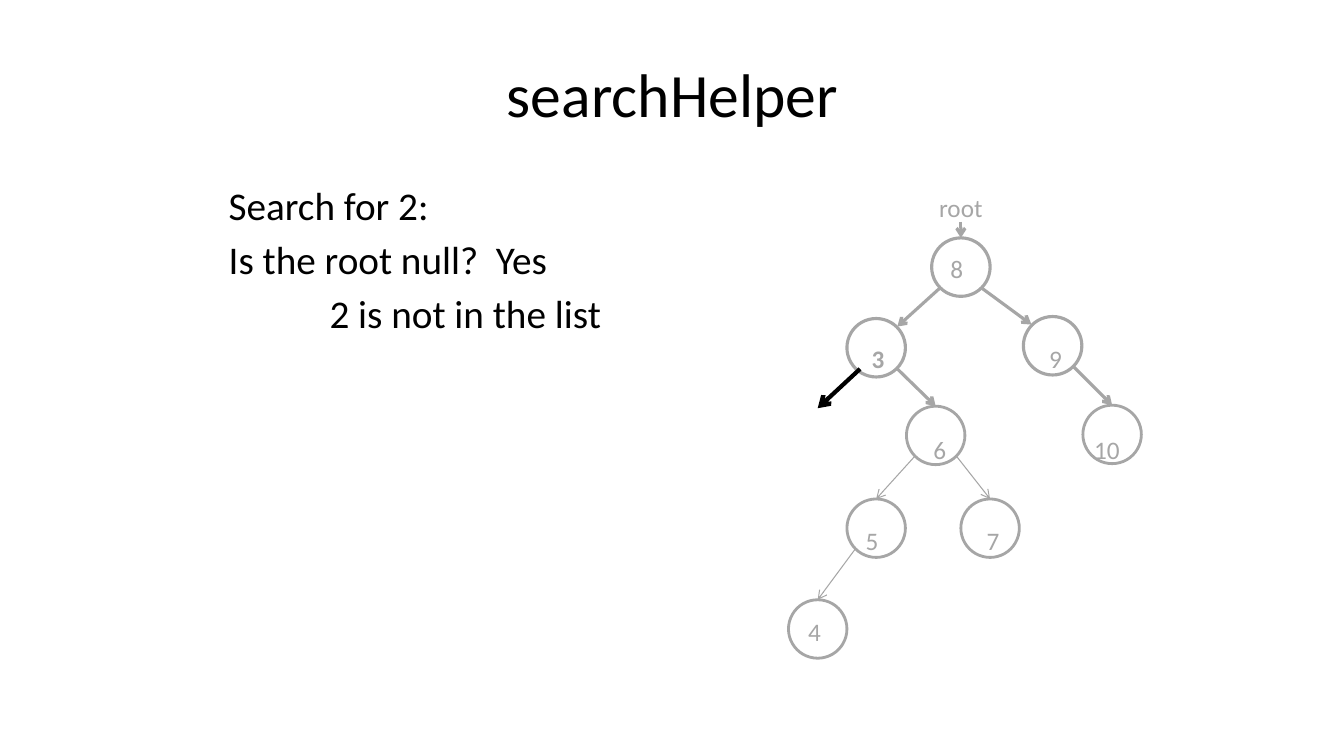
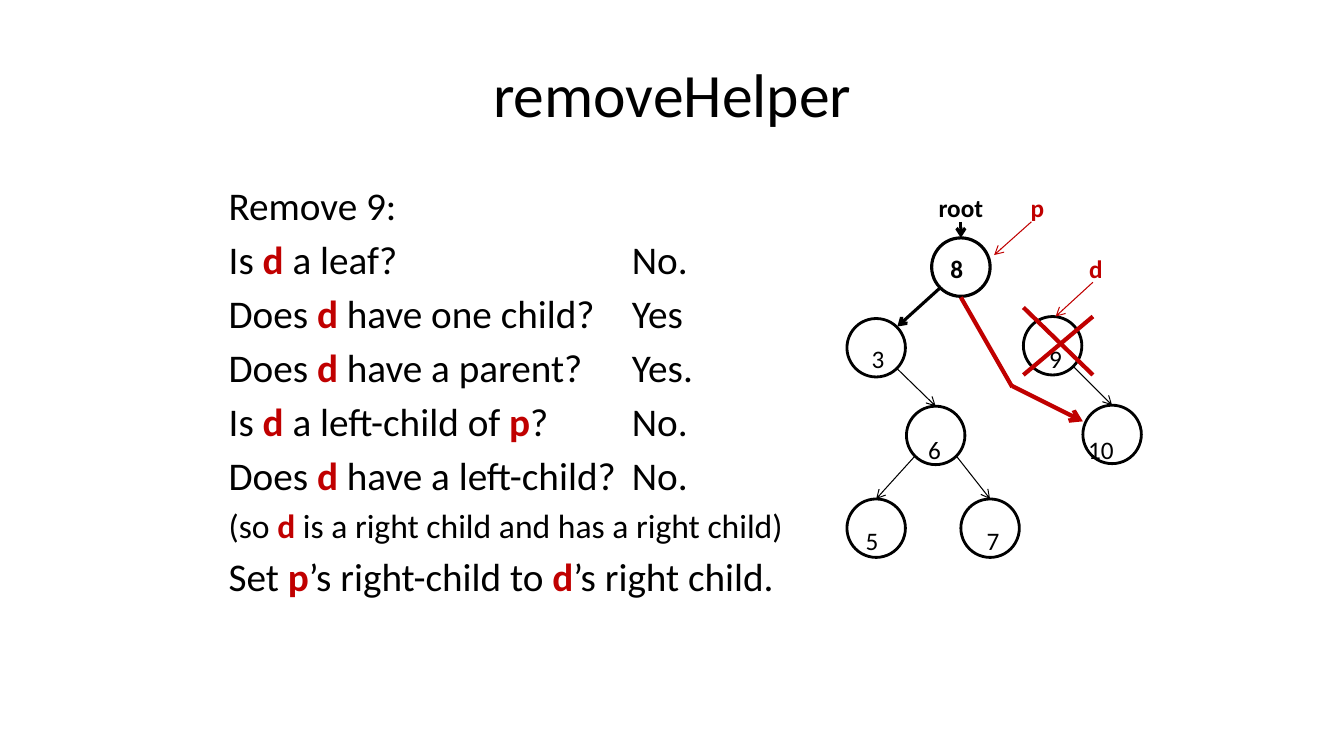
from lxml import etree
from pptx import Presentation
from pptx import util as u
from pptx.dml.color import RGBColor
from pptx.enum import shapes, text
from pptx.oxml.ns import qn

COLORS = {"ink": "000000", "faded": "A6A6A6", "accent": "C00000"}
FONT = "Calibri"
WIDTH, HEIGHT = 13.33, 7.5
DIAMETER = 0.58
RADIUS, DIAGONAL = DIAMETER / 2, 0.21
LABEL_TOP, LABEL_ROW = 2.06, 0.3
LABEL_SIZE = (0.8, 0.4)
HEAVY, MEDIUM, THIN, BOLD_LINE = 2.25, 2, 0.75, 3

NODES = {
    8: (9.53, 2.65), 3: (8.69, 3.45), 9: (10.44, 3.43), 6: (9.28, 4.32),
    10: (11.03, 4.31), 5: (8.69, 5.24), 7: (9.82, 5.24), 4: (8.11, 6.24),
}
LABELS = {
    "root": (9.53, 0), 8: (9.49, 2), 3: (8.71, 5), 9: (10.47, 5), 6: (9.32, 8),
    10: (10.98, 8), 5: (8.65, 11), 7: (9.85, 11), 4: (8.08, 14),
}
ROOT_ARROW = ((9.53, 2.2), (9.53, 2.36))

SLIDES = [
    {
        "title": "searchHelper",
        "tab": 1,
        "body": [("Search for 2:", 28), ("Is the root null?  Yes", 28),
                 ("\t2 is not in the list", 28)],
        "tree": "faded",
        "nodes": [8, 3, 9, 6, 5, 7, 10, 4],
        "heavy_nodes": [8, 3, 9],
        "edges": [(8, 3), (8, 9), (3, 6), (9, 10), (6, 7), (6, 5), (5, 4)],
        "heavy_edges": [(8, 3), (8, 9), (3, 6), (9, 10)],
        "bold": [3],
        "shifts": {},
        "pointers": [],
        "marks": [((8.53, 3.66), (8.11, 4.05), "ink", BOLD_LINE, True)],
    },
    {
        "title": "removeHelper",
        "tab": 4,
        "body": [
            ("Remove 9:", 28),
            ("Is *d* a leaf?\tNo.", 28),
            ("Does *d* have one child?\tYes", 28),
            ("Does *d* have a parent?\tYes.", 28),
            ("Is *d* a left-child of *p*?\tNo.", 28),
            ("Does *d* have a left-child?\tNo.", 28),
            ("(so *d* is a right child and has a right child)", 24),
            ("Set *p*’s right-child to *d*’s right child.", 28),
        ],
        "tree": "ink",
        "nodes": [8, 3, 9, 6, 5, 7, 10],
        "heavy_nodes": [8],
        "edges": [(8, 3), (3, 6), (9, 10), (6, 7), (6, 5)],
        "heavy_edges": [(8, 3)],
        "bold": ["root", 8],
        "shifts": {6: -0.05, 10: -0.06},
        "pointers": [("p", 10.29, 0), ("d", 10.87, 2)],
        "marks": [
            ((10.84, 2.8), (10.47, 3.14), "accent", THIN, True),
            ((10.23, 2.2), (9.86, 2.53), "accent", THIN, True),
            ((10.15, 3.05), (10.84, 3.72), "accent", BOLD_LINE, False),
            ((10.84, 3.14), (10.15, 3.72), "accent", BOLD_LINE, False),
            ((9.53, 2.95), (10.04, 3.84), "accent", BOLD_LINE, False),
            ((10.04, 3.83), (10.74, 4.18), "accent", BOLD_LINE, True),
        ],
    },
]


def rgb(color):
    return RGBColor.from_string(COLORS[color])


def inches(*lengths):
    return [u.Inches(length) for length in lengths]


def style(font, size, color, bold=False):
    font.name, font.size, font.bold = FONT, u.Pt(size), bold
    font.color.rgb = rgb(color)


def add_frame(slide, left, top, width, height, wrap=True):
    frame = slide.shapes.add_textbox(*inches(left, top, width, height)).text_frame
    frame.word_wrap = wrap
    return frame


def add_centered(slide, words, box, size, color, bold=False, wrap=True):
    frame = add_frame(slide, *box, wrap=wrap)
    frame.vertical_anchor = text.MSO_ANCHOR.MIDDLE
    paragraph = frame.paragraphs[0]
    paragraph.alignment = text.PP_ALIGN.CENTER
    paragraph.add_run().text = words
    style(paragraph.font, size, color, bold)


def add_body(slide, lines, tab):
    frame = add_frame(slide, 2.17, 1.75, 5.94, 5)
    for index, (line, size) in enumerate(lines):
        paragraph = frame.add_paragraph() if index else frame.paragraphs[0]
        if index:
            paragraph.space_before = u.Pt(round(size * 0.18, 1))
        if "\t" in line:
            stops = etree.SubElement(paragraph._p.get_or_add_pPr(), qn("a:tabLst"))
            etree.SubElement(stops, qn("a:tab"), pos=str(u.Inches(tab)), algn="l")
        style(paragraph.font, size, "ink")
        for part, words in enumerate(line.split("*")):
            run = paragraph.add_run()
            run.text = words
            if part % 2:
                run.font.bold = True
                run.font.color.rgb = rgb("accent")


def add_line(slide, start, end, color, width, arrow=True):
    line = slide.shapes.add_connector(shapes.MSO_CONNECTOR.STRAIGHT, *inches(*start, *end))
    line.line.color.rgb = rgb(color)
    line.line.width = u.Pt(width)
    if arrow:
        etree.SubElement(line.line._get_or_add_ln(), qn("a:tailEnd"), type="arrow")
    etree.SubElement(line._element.spPr, qn("a:effectLst"))


def add_node(slide, key, color, width):
    x, y = NODES[key]
    circle = slide.shapes.add_shape(
        shapes.MSO_SHAPE.OVAL, *inches(x - RADIUS, y - RADIUS, DIAMETER, DIAMETER))
    circle.shadow.inherit = False
    circle.fill.background()
    circle.line.color.rgb = rgb(color)
    circle.line.width = u.Pt(width)


def add_edge(slide, parent, child, color, width):
    (px, py), (cx, cy) = NODES[parent], NODES[child]
    side = DIAGONAL if cx > px else -DIAGONAL
    end = (cx - side, cy - DIAGONAL) if parent == 8 else (cx, cy - RADIUS)
    add_line(slide, (px + side, py + DIAGONAL), end, color, width)


def add_label(slide, words, x, row, color, bold):
    width, height = LABEL_SIZE
    middle = LABEL_TOP + row * LABEL_ROW
    box = (x - width / 2, middle - height / 2, width, height)
    add_centered(slide, str(words), box, 18, color, bold)


def build_slide(deck, content):
    slide = deck.slides.add_slide(deck.slide_layouts[6])
    tree = content["tree"]
    add_centered(slide, content["title"], (0.67, 0.3, 12, 1.25), 44, "ink")
    add_body(slide, content["body"], content["tab"])
    for key in content["nodes"]:
        add_node(slide, key, tree, HEAVY if key in content["heavy_nodes"] else MEDIUM)
    for edge in content["edges"]:
        add_edge(slide, *edge, tree, HEAVY if edge in content["heavy_edges"] else THIN)
    for key in ["root", *content["nodes"]]:
        x, row = LABELS[key]
        add_label(slide, key, x + content["shifts"].get(key, 0), row, tree,
                  key in content["bold"])
    for name, x, row in content["pointers"]:
        add_label(slide, name, x, row, "accent", True)
    add_line(slide, *ROOT_ARROW, tree, HEAVY)
    for mark in content["marks"]:
        add_line(slide, *mark)


def main():
    deck = Presentation()
    deck.slide_width, deck.slide_height = inches(WIDTH, HEIGHT)
    for content in SLIDES:
        build_slide(deck, content)
    deck.save("out.pptx")


if __name__ == "__main__":
    main()
